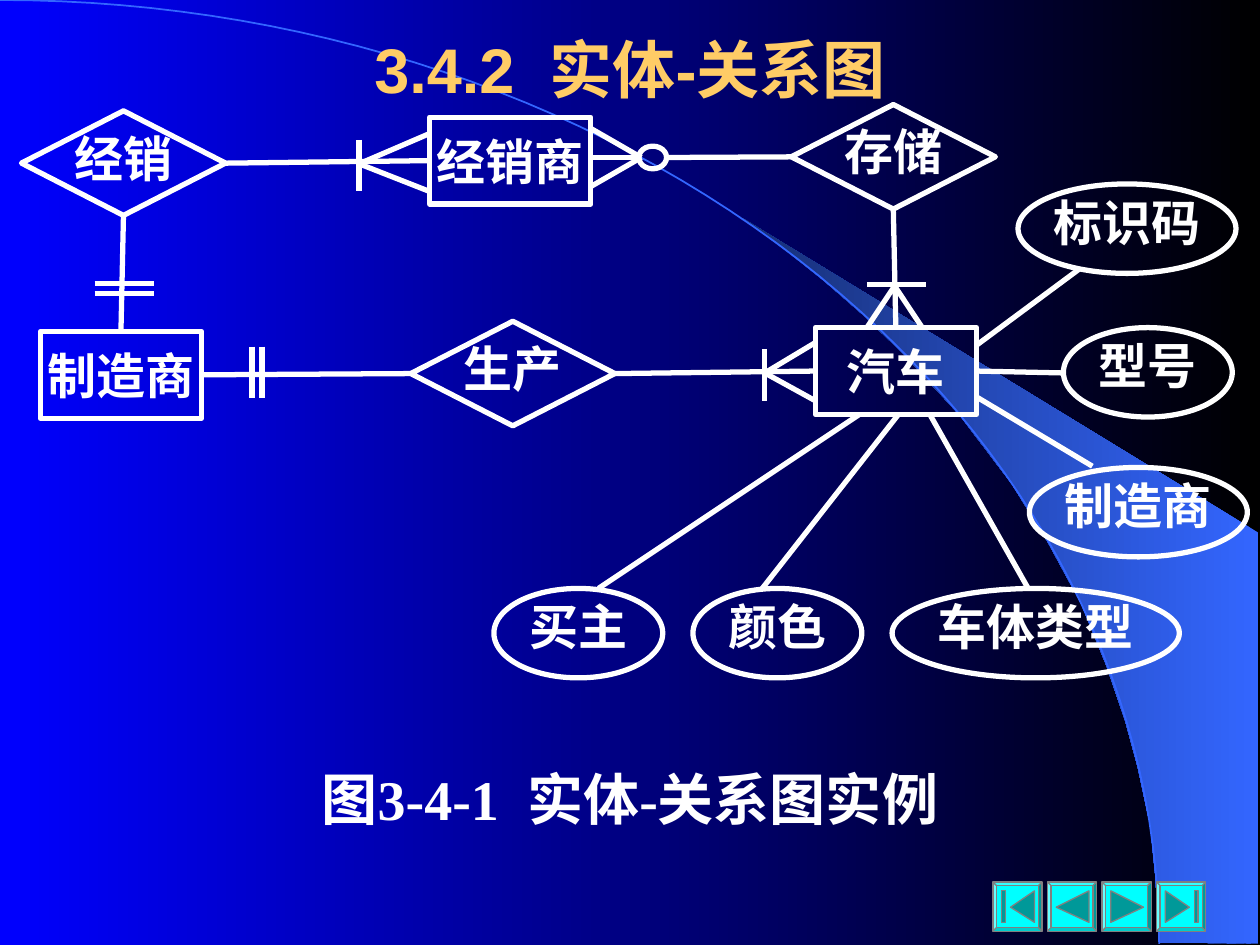
from math import cos, pi, sin

from lxml.etree import SubElement
from pptx import Presentation
from pptx.dml.color import RGBColor
from pptx.enum.shapes import MSO_CONNECTOR, MSO_SHAPE
from pptx.enum.text import MSO_ANCHOR, PP_ALIGN
from pptx.oxml.ns import qn
from pptx.util import Inches, Pt

COLORS = {
    "white": "FFFFFF", "gold": "FFCC66", "black": "000000", "blue": "0000FF",
    "glow": "3366FF", "deep": "172F75", "cyan": "00FFFF", "teal": "009999",
    "gray": "808080",
}
SERIF = "Times New Roman"

# name: left, top, width, height
ENTITIES = {
    "制造商": (0.32, 2.63, 1.28, 0.69),
    "经销商": (3.41, 0.93, 1.28, 0.69),
    "汽车": (6.47, 2.6, 1.28, 0.69),
}
RELATIONS = {"生产": (3.26, 2.55), "经销": (0.17, 0.88), "存储": (6.28, 0.83)}
# name, left, top, width
FIELDS = [
    ("标识码", 8.08, 1.46, 1.73), ("型号", 8.44, 2.6, 1.34),
    ("制造商", 8.17, 3.71, 1.73), ("买主", 3.92, 4.67, 1.34),
    ("颜色", 5.5, 4.67, 1.34), ("车体类型", 7.08, 4.67, 2.28),
]
# from node, side, to node, side
LINKS = [
    ("制造商", 3, "生产", 1), ("生产", 3, "汽车", 1), ("经销", 2, "制造商", 0),
    ("经销", 3, "经销商", 1), ("存储", 2, "汽车", 0),
]
# cardinality bars and crow's feet: x1, y1, x2, y2
MARKS = [
    (0.75, 2.25, 1.22, 2.25), (0.75, 2.33, 1.22, 2.33),
    (2, 2.75, 2, 3.16), (2.08, 2.75, 2.08, 3.16),
    (2.85, 1.11, 2.85, 1.52), (2.85, 1.3, 3.41, 1.06), (2.85, 1.3, 3.41, 1.52),
    (4.69, 1.02, 5.09, 1.25), (4.69, 1.48, 5.09, 1.25), (4.67, 1.25, 5.08, 1.25),
    (6.07, 2.77, 6.07, 3.18), (6.47, 2.72, 6.07, 2.96), (6.47, 3.18, 6.07, 2.96),
    (6.88, 2.26, 7.35, 2.26), (7.1, 2.27, 6.88, 2.6), (7.1, 2.27, 7.32, 2.6),
]
# lines from the car to its attributes
SPOKES = [
    (7.75, 2.74, 8.56, 2.14), (7.75, 3.15, 8.67, 3.7), (7.38, 3.29, 8.16, 4.67),
    (7.13, 3.29, 6.05, 4.67), (6.82, 3.29, 4.75, 4.67),
]
GLOW = [
    (9.2, 7.48), (9.99, 7.49), (9.99, 4.23), (5.89, 1.73), (6.24, 1.99),
    (6.53, 2.22), (6.85, 2.5), (7.16, 2.8), (7.62, 3.3), (8.03, 3.84),
    (8.32, 4.31), (8.58, 4.79), (8.78, 5.28), (8.93, 5.72), (9.03, 6.09),
    (9.13, 6.56), (9.17, 6.96),
]
# arrow points and optional bar left edge, inside each button
BACK = [(0.07, 0.2), (0.33, 0.07), (0.33, 0.32)]
NEXT = [(0.07, 0.07), (0.33, 0.2), (0.07, 0.32)]
FIRST = [(0.14, 0.2), (0.33, 0.07), (0.33, 0.32)]
LAST = [(0.07, 0.07), (0.26, 0.2), (0.07, 0.32)]
BUTTONS = [(FIRST, 0.07), (BACK, None), (NEXT, None), (LAST, 0.3)]


def rgb(name):
    return RGBColor.from_string(COLORS[name])


def shade(fill, first, last):
    fill.gradient()
    fill.gradient_angle = 180
    for stop, name, spot in zip(fill.gradient_stops, (first, last), (0, 1)):
        stop.color.rgb = rgb(name)
        stop.position = spot


def paint(shape, fill=None, line="white", width=3):
    shape.shadow.inherit = False
    if fill:
        shape.fill.solid()
        shape.fill.fore_color.rgb = rgb(fill)
    else:
        shape.fill.background()
    shape.line.color.rgb = rgb(line)
    shape.line.width = Pt(width)


def write(shape, text, size, font=SERIF, color="white", pad=0.0):
    frame = shape.text_frame
    frame.word_wrap = True
    frame.vertical_anchor = MSO_ANCHOR.MIDDLE
    frame.margin_left = frame.margin_right = Inches(pad)
    frame.margin_top = frame.margin_bottom = Inches(pad / 2)
    frame.text = text
    para = frame.paragraphs[0]
    para.alignment = PP_ALIGN.CENTER
    face = para.runs[0].font
    face.name, face.size, face.bold = font, Pt(size), True
    face.color.rgb = rgb(color)
    return para


def add_node(slide, kind, box, text=None, space=None):
    shape = slide.shapes.add_shape(kind, *map(Inches, box))
    paint(shape)
    if text:
        write(shape, text, 28).line_spacing = space
    return shape


def add_line(slide, x1, y1, x2, y2):
    line = slide.shapes.add_connector(
        MSO_CONNECTOR.STRAIGHT, *map(Inches, (x1, y1, x2, y2)))
    line.line.color.rgb = rgb("white")
    line.line.width = Pt(3)
    SubElement(line._element.spPr, qn("a:effectLst"))
    return line


def add_path(slide, points, close=True):
    spots = [(Inches(x), Inches(y)) for x, y in points]
    pen = slide.shapes.build_freeform(*spots[0])
    pen.add_line_segments(spots[1:], close=close)
    return pen.convert_to_shape()


def add_label(slide, box, *style):
    return write(slide.shapes.add_textbox(*map(Inches, box)), *style, pad=0.1)


def add_button(slide, left, top, arrow, bar):
    base = slide.shapes.add_shape(
        MSO_SHAPE.BEVEL, *map(Inches, (left, top, 0.39, 0.39)))
    base.adjustments[0] = 0.07
    paint(base, "cyan", "gray", 0.75)
    icon = add_path(slide, [(left + x, top + y) for x, y in arrow])
    paint(icon, "teal", "gray", 0.75)
    if bar is not None:
        post = slide.shapes.add_shape(
            MSO_SHAPE.RECTANGLE, *map(Inches, (left + bar, top + 0.07, 0.03, 0.25)))
        paint(post, "teal", "gray", 0.75)


def add_back(slide):
    shade(slide.background.fill, "black", "blue")
    glow = add_path(slide, GLOW)
    glow.shadow.inherit = False
    shade(glow.fill, "glow", "deep")
    glow.line.fill.background()
    # quarter ellipse
    turns = [i * pi / 120 for i in range(61)]
    arc = [(9.2 * sin(t), 7.49 * (1 - cos(t))) for t in turns]
    paint(add_path(slide, arc, close=False), line="glow", width=1)


def add_graph(slide):
    # entities, relations and attributes
    nodes = {}
    for name, box in ENTITIES.items():
        nodes[name] = add_node(slide, MSO_SHAPE.RECTANGLE, box, name)
    for name, spot in RELATIONS.items():
        nodes[name] = add_node(
            slide, MSO_SHAPE.FLOWCHART_DECISION, (*spot, 1.62, 0.83), name, 0.8)
    for name, left, top, width in FIELDS:
        add_node(slide, MSO_SHAPE.OVAL, (left, top, width, 0.71), name, 0.72)
    add_node(slide, MSO_SHAPE.OVAL, (5.07, 1.16, 0.22, 0.18))

    # joined lines
    for start, side, end, port in LINKS:
        line = add_line(slide, 0, 0, 1, 1)
        line.begin_connect(nodes[start], side)
        line.end_connect(nodes[end], port)
    add_line(slide, 5.29, 1.25, 6.28, 1.25).end_connect(nodes["存储"], 1)
    add_line(slide, 7.75, 2.96, 8.44, 2.96).begin_connect(nodes["汽车"], 3)

    # free lines
    for ends in MARKS + SPOKES:
        add_line(slide, *ends)


def main():
    deck = Presentation()
    deck.slide_width, deck.slide_height = Inches(10), Inches(7.5)
    slide = deck.slides.add_slide(deck.slide_layouts[6])
    add_back(slide)
    add_label(slide, (0.75, 0.17, 8.5, 0.75),
              "3.4.2  实体-关系图", 36, "Arial", "gold")
    add_label(slide, (0.75, 6, 8.5, 0.67), "图3-4-1  实体-关系图实例", 32)
    for i, (arrow, bar) in enumerate(BUTTONS):
        add_button(slide, 7.88 + i * 0.433, 7, arrow, bar)
    add_graph(slide)
    deck.save("out.pptx")


if __name__ == "__main__":
    main()
